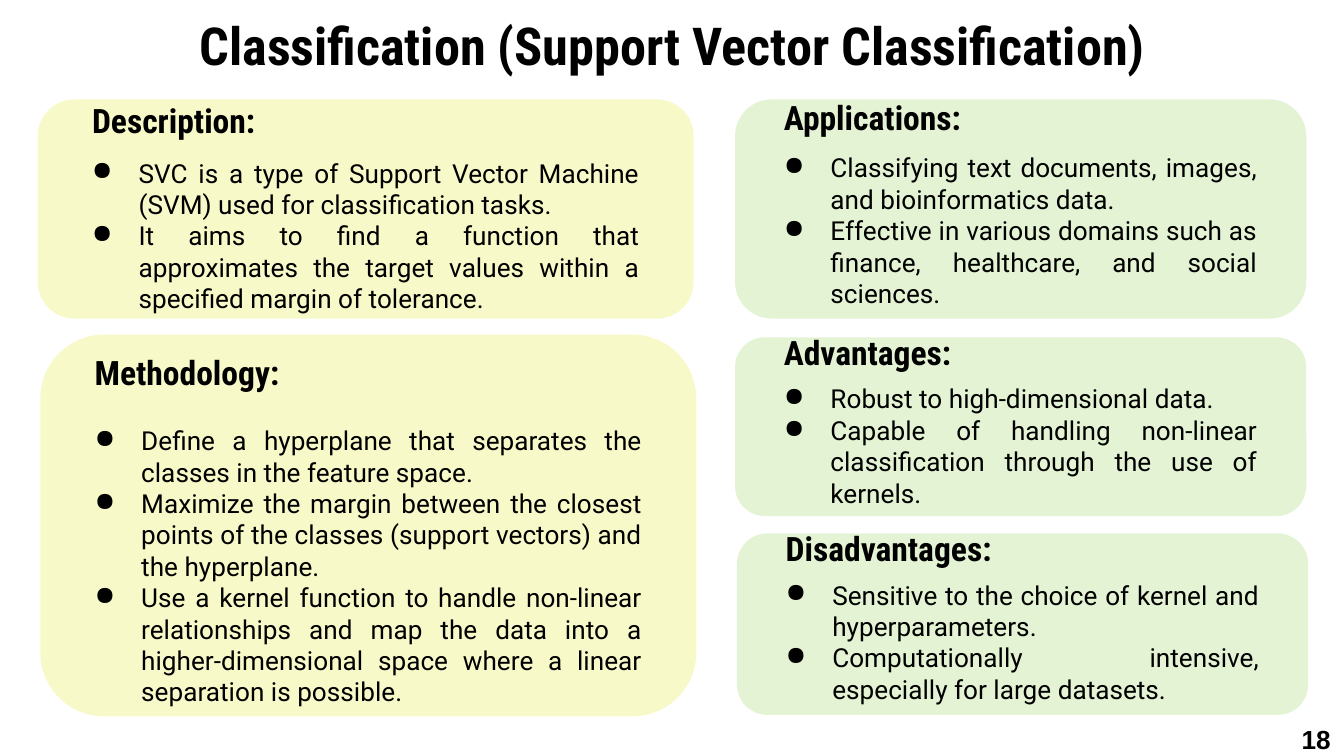
from dataclasses import dataclass

from lxml.etree import SubElement
from pptx import Presentation
from pptx.dml.color import RGBColor
from pptx.enum.shapes import MSO_SHAPE as Shape
from pptx.enum.text import MSO_ANCHOR as Anchor, MSO_AUTO_SIZE as AutoSize, PP_ALIGN as Align
from pptx.oxml.ns import qn
from pptx.util import Pt


@dataclass(frozen=True)
class Theme:
    ink: RGBColor = RGBColor(0, 0, 0)
    yellow: RGBColor = RGBColor(0xE4, 0xEA, 0x27)
    green: RGBColor = RGBColor(0x92, 0xD0, 0x50)
    card_alpha: int = 25
    display: str = "Roboto Condensed"
    body: str = "Roboto"
    number: str = "Times New Roman"
    number_complex: str = "Arial"
    title_size: int = 28
    heading_size: int = 18
    body_size: int = 14
    inset: float = 7.2
    indent: float = 25
    heading_gap: float = 1.4


THEME = Theme()


@dataclass(frozen=True)
class Column:
    """Measures shared by the cards of one column."""
    color: RGBColor
    width: float
    margin: float
    heading_width: float
    list_width: float


LEFT = Column(THEME.yellow, 351.4, 22, 240, 307.4)
RIGHT = Column(THEME.green, 306, 19, 208.8, 267.8)

# column, left, top, height, heading height, list height, heading, points
CARDS = [
    (LEFT, 20.2, 53.3, 117.4, 22.3, 77, "Description:", [
        "SVC is a type of Support Vector Machine (SVM) used for classification tasks.",
        "It aims to find a function that approximates the target values within a specified margin of tolerance.",
    ]),
    (RIGHT, 393.8, 53.3, 117.4, 19.4, 65.5, "Applications:", [
        "Classifying text documents, images, and bioinformatics data.",
        "Effective in various domains such as finance, healthcare, and social sciences.",
    ]),
    (LEFT, 21.6, 179.3, 204.5, 39.6, 134, "Methodology:", [
        "Define a hyperplane that separates the classes in the feature space.",
        "Maximize the margin between the closest points of the classes (support vectors) and the hyperplane.",
        "Use a kernel function to handle non-linear relationships and map the data into a "
        "higher-dimensional space where a linear separation is possible.",
    ]),
    (RIGHT, 393.8, 180.7, 95.8, 15.8, 53.5, "Advantages:", [
        "Robust to high-dimensional data.",
        "Capable of handling non-linear classification through the use of kernels.",
    ]),
    (RIGHT, 394.8, 285.8, 97.2, 15.8, 53.5, "Disadvantages:", [
        "Sensitive to the choice of kernel and hyperparameters.",
        "Computationally intensive, especially for large datasets.",
    ]),
]


def set_values(target, values):
    for name, value in values.items():
        setattr(target, name, value)


def set_font(font, name, size, bold=False):
    set_values(font, {"name": name, "size": Pt(size), "bold": bold})
    font.color.rgb = THEME.ink


def place(box, left, top, width, height):
    set_values(box, {"left": Pt(left), "top": Pt(top), "width": Pt(width), "height": Pt(height)})


def format_frame(frame, anchor):
    inset = Pt(THEME.inset)
    set_values(frame, {
        "word_wrap": True, "auto_size": AutoSize.NONE, "vertical_anchor": anchor,
        "margin_left": inset, "margin_right": inset, "margin_top": inset, "margin_bottom": inset,
    })


def add_textbox(shapes, bounds, anchor):
    frame = shapes.add_textbox(*map(Pt, bounds)).text_frame
    format_frame(frame, anchor)
    return frame


def add_bullet(para):
    properties = para._p.get_or_add_pPr()
    indent = Pt(THEME.indent)
    properties.set("marL", str(indent))
    properties.set("indent", str(-indent))
    color = SubElement(properties, qn("a:buClr"))
    SubElement(color, qn("a:srgbClr"), val=str(THEME.ink))
    SubElement(properties, qn("a:buChar"), char="●")


def add_panel(shapes, color, bounds):
    """Draw a translucent rounded card."""
    panel = shapes.add_shape(Shape.ROUNDED_RECTANGLE, *map(Pt, bounds))
    panel.shadow.inherit = False
    panel.adjustments[0] = 0.167
    panel.fill.solid()
    panel.fill.fore_color.rgb = color
    panel.line.fill.background()
    rgb = panel._element.spPr.find(qn("a:solidFill")).find(qn("a:srgbClr"))
    SubElement(rgb, qn("a:alpha"), val=str(THEME.card_alpha * 1000))


def add_heading(shapes, text, bounds):
    para = add_textbox(shapes, bounds, Anchor.MIDDLE).paragraphs[0]
    para.text = text
    set_font(para.runs[0].font, THEME.display, THEME.heading_size, bold=True)


def add_list(shapes, points, bounds):
    frame = add_textbox(shapes, bounds, Anchor.TOP)
    for index, point in enumerate(points):
        para = frame.add_paragraph() if index else frame.paragraphs[0]
        add_bullet(para)
        para.alignment = Align.JUSTIFY
        para.text = point
        set_font(para.font, THEME.body, THEME.body_size)
        set_font(para.runs[0].font, THEME.body, THEME.body_size)


def add_card(page, column, left, top, height, heading_height, list_height, heading, points):
    shapes = page.shapes.add_group_shape().shapes
    text_left = left + column.margin
    list_top = top + heading_height + THEME.heading_gap
    add_panel(shapes, column.color, (left, top, column.width, height))
    add_heading(shapes, heading, (text_left, top, column.heading_width, heading_height))
    add_list(shapes, points, (text_left, list_top, column.list_width, list_height))


def set_title(page, text):
    title = page.shapes.title
    place(title, 36, 9.4, 648, 29.5)
    format_frame(title.text_frame, Anchor.MIDDLE)
    para = title.text_frame.paragraphs[0]
    para.text = text
    para.alignment = Align.CENTER
    set_font(para.runs[0].font, THEME.display, THEME.title_size, bold=True)


def add_page_number(page, text):
    frame = page.shapes.add_textbox(Pt(552.2), Pt(383.8), Pt(167.8), Pt(21.6)).text_frame
    frame.word_wrap = True
    para = frame.paragraphs[0]
    para.text = text
    para.alignment = Align.RIGHT
    para._p.get_or_add_pPr().set("rtl", "1")
    font = para.runs[0].font
    set_font(font, THEME.number, THEME.body_size, bold=True)
    SubElement(font._element, qn("a:cs"), typeface=THEME.number_complex)


def main():
    deck = Presentation()
    set_values(deck, {"slide_width": Pt(720), "slide_height": Pt(405)})
    page = deck.slides.add_slide(deck.slide_layouts[5])
    add_page_number(page, "18")
    set_title(page, "Classification (Support Vector Classification)")
    for card in CARDS:
        add_card(page, *card)
    deck.save("out.pptx")


if __name__ == "__main__":
    main()
